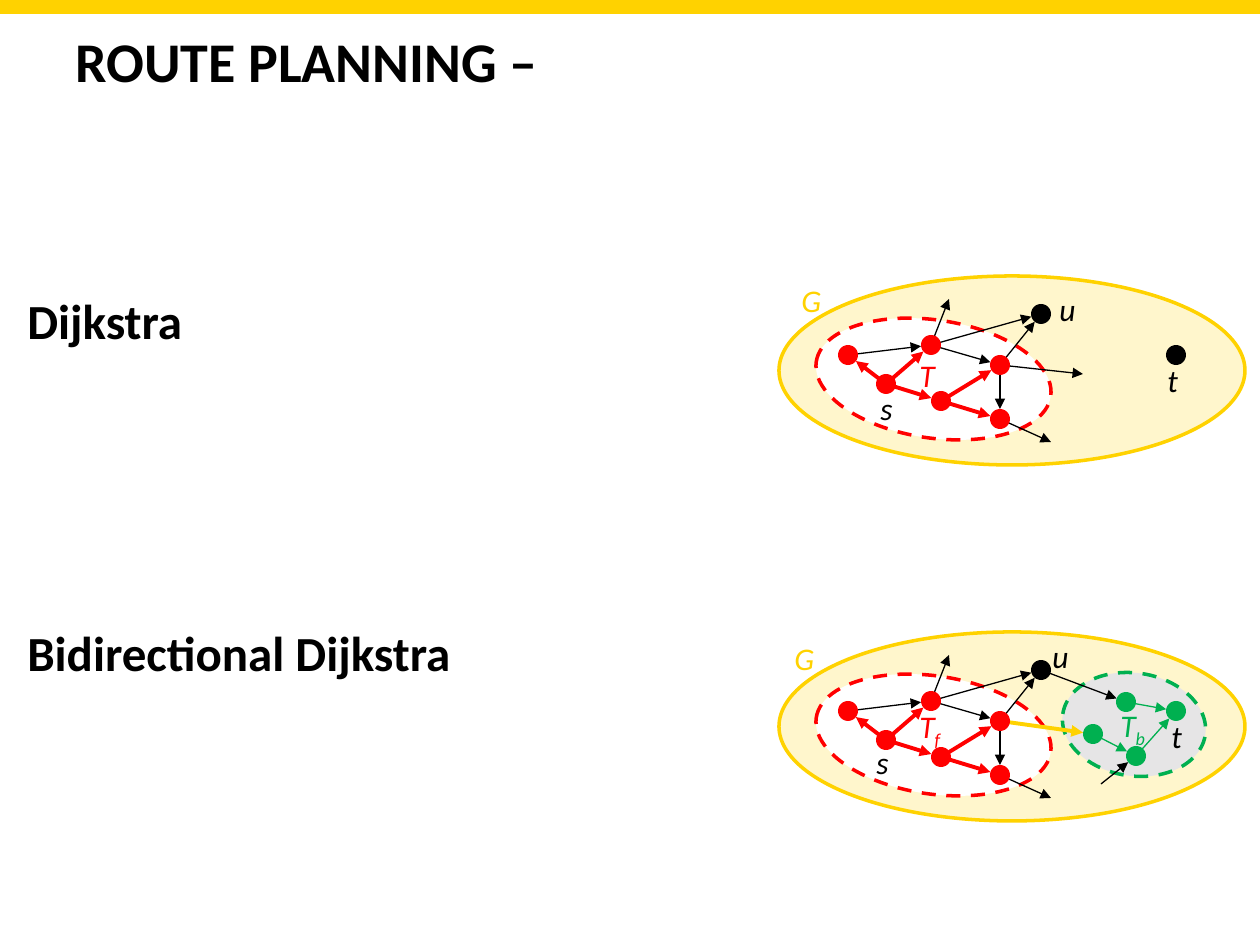
import math
from dataclasses import dataclass

from lxml import etree
from pptx import Presentation, util as u
from pptx.dml.color import RGBColor
from pptx.enum import dml, shapes, text
from pptx.oxml.ns import qn


@dataclass(frozen=True)
class Theme:
    font: str = "Calibri"
    title: int = 32
    body: int = 28
    label: int = 18
    thin: float = 0.75
    outline: float = 2
    thick: float = 2.25
    black: str = "000000"
    red: str = "FF0000"
    green: str = "00B050"
    yellow: str = "FFD200"
    cream: str = "FFF6CC"
    gray: str = "E6E5E6"
    white: str = "FFFFFF"


T = Theme()
PX = 914400 / 126
SLIDE = (1260, 945)
RADIUS = 10
GRAPH_STEP = 356
TILT = 8.4

TITLE = "ROUTE PLANNING –"
HEADINGS = ["Dijkstra", "Bidirectional Dijkstra"]
HEADING_GAP = 156  # points

# Regions: left, top, width, height, fill, outline, tilted and dashed
GRAPH_REGION = (779, 276, 466, 189, T.cream, T.yellow, False)
FORWARD_REGION = (815, 320, 237, 118, T.white, T.red, True)
BACKWARD_REGION = (1062, 317, 144, 103, T.gray, T.green, True)

# Nodes: centre and colour
NODES = {
    "a": (931, 345, T.red), "s": (886, 384, T.red), "c": (1000, 365, T.red),
    "w": (848, 355, T.red), "e": (1000, 419, T.red), "m": (941, 401, T.red),
    "u": (1041, 314, T.black), "t": (1176, 355, T.black),
}
BACKWARD_NODES = {
    "t": (1176, 355, T.green), "x": (1093, 378, T.green),
    "y": (1136, 400, T.green), "z": (1126, 346, T.green),
}

# Edges: ends (node name or free point), colour, width
EDGES = [(a, b, T.black, T.thin) for a, b in [
    ("e", (1051, 442)), ("c", "u"), ("a", "u"), ("a", (949, 299)),
    ("a", "c"), ("c", "e"), ("w", "a")]]
TREE_EDGES = [(a, b, T.red, T.thick) for a, b in [
    ("s", "w"), ("s", "m"), ("s", "a"), ("m", "c"), ("m", "e")]]
LEAVING_EDGE = ("c", (1083, 374), T.black, T.thin)
BACKWARD_EDGES = [
    ("c", "x", T.yellow, T.thick),
    ("z", "t", T.green, T.thin), ("y", "t", T.green, T.thin),
    ("x", "y", T.green, T.thin),
    ("u", "z", T.black, T.thin), ((1101, 428), "y", T.black, T.thin),
]

# Labels: text, subscript, left, top, colour
GRAPHS = [
    dict(
        regions=[GRAPH_REGION, FORWARD_REGION],
        nodes=NODES,
        edges=EDGES + [LEAVING_EDGE] + TREE_EDGES,
        labels=[("T", "", 907, 350, T.red), ("s", "", 868, 383, T.black),
                ("t", "", 1155, 355, T.black), ("u", "", 1047, 284, T.black),
                ("G", "", 789, 275, T.yellow)],
    ),
    dict(
        regions=[GRAPH_REGION, BACKWARD_REGION, FORWARD_REGION],
        nodes={**NODES, **BACKWARD_NODES},
        edges=EDGES + TREE_EDGES + BACKWARD_EDGES,
        labels=[("T", "f", 907, 345, T.red), ("s", "", 864, 381, T.black),
                ("t", "", 1159, 355, T.black), ("G", "", 782, 277, T.yellow),
                ("T", "b", 1108, 344, T.green), ("u", "", 1040, 275, T.black)],
    ),
]


def px(*values):
    return [u.Emu(round(v * PX)) for v in values]


def rgb(color):
    return RGBColor.from_string(color)


def add_solid(parent, kind, box, fill, outline=None):
    s = parent.add_shape(kind, *px(*box))
    s.shadow.inherit = False
    s.fill.solid()
    s.fill.fore_color.rgb = rgb(fill)
    if outline:
        s.line.color.rgb = rgb(outline)
        s.line.width = u.Pt(T.outline)
    else:
        s.line.fill.background()
    return s


def add_run(p, words, size, color, bold=False, italic=False):
    r = p.add_run()
    r.text = words
    f = r.font
    f.name, f.size, f.bold, f.italic = T.font, u.Pt(size), bold, italic
    f.color.rgb = rgb(color)
    return r


def add_text(parent, box, wrap=True):
    tf = parent.add_textbox(*px(*box)).text_frame
    tf.word_wrap = wrap
    tf.vertical_anchor = text.MSO_ANCHOR.TOP
    return tf


def add_arrow(parent, start, end, color, width):
    s = parent.add_connector(shapes.MSO_CONNECTOR.STRAIGHT, *px(*start, *end))
    s.line.color.rgb = rgb(color)
    s.line.width = u.Pt(width)
    etree.SubElement(s.line._get_or_add_ln(), qn("a:tailEnd"), type="triangle")
    etree.SubElement(s._element.spPr, qn("a:effectLst"))


def add_graph(slide, graph, dy):
    """Draw regions, then edges ending at node rims, then nodes and labels."""
    group = slide.shapes.add_group_shape().shapes
    oval = shapes.MSO_SHAPE.OVAL
    nodes = graph["nodes"]

    for x, y, w, h, fill, outline, tilted in graph["regions"]:
        s = add_solid(group, oval, (x, y + dy, w, h), fill, outline)
        if tilted:
            s.rotation = TILT
            s.line.dash_style = dml.MSO_LINE.DASH

    for source, target, color, width in graph["edges"]:
        x1, y1 = nodes[source][:2] if source in nodes else source
        x2, y2 = nodes[target][:2] if target in nodes else target
        if target in nodes:
            keep = 1 - RADIUS / math.hypot(x2 - x1, y2 - y1)
            x2, y2 = x1 + (x2 - x1) * keep, y1 + (y2 - y1) * keep
        add_arrow(group, (x1, y1 + dy), (x2, y2 + dy), color, width)

    for x, y, color in nodes.values():
        box = (x - RADIUS, y + dy - RADIUS, 2 * RADIUS, 2 * RADIUS)
        add_solid(group, oval, box, color)

    for words, subscript, x, y, color in graph["labels"]:
        box = (x, y + dy, 53 if subscript else 38, 50)
        p = add_text(group, box, wrap=False).paragraphs[0]
        add_run(p, words, T.label, color, italic=True)
        if subscript:
            r = add_run(p, subscript, T.label, color, italic=True)
            r._r.get_or_add_rPr().set("baseline", "-25000")


def main():
    prs = Presentation()
    prs.slide_width, prs.slide_height = px(*SLIDE)
    slide = prs.slides.add_slide(prs.slide_layouts[6])

    add_solid(slide.shapes, shapes.MSO_SHAPE.RECTANGLE, (0, 0, SLIDE[0], 14), T.yellow)
    tf = add_text(slide.shapes, (63, 20, 1134, 224))
    add_run(tf.paragraphs[0], TITLE, T.title, T.black, bold=True)

    tf = add_text(slide.shapes, (15, 284, 1134, 624))
    for i, heading in enumerate(HEADINGS):
        p = tf.add_paragraph() if i else tf.paragraphs[0]
        if i:
            p.space_before = u.Pt(HEADING_GAP)
        add_run(p, heading, T.body, T.black, bold=True)

    for i, graph in enumerate(GRAPHS):
        add_graph(slide, graph, i * GRAPH_STEP)
    prs.save("out.pptx")


if __name__ == "__main__":
    main()
